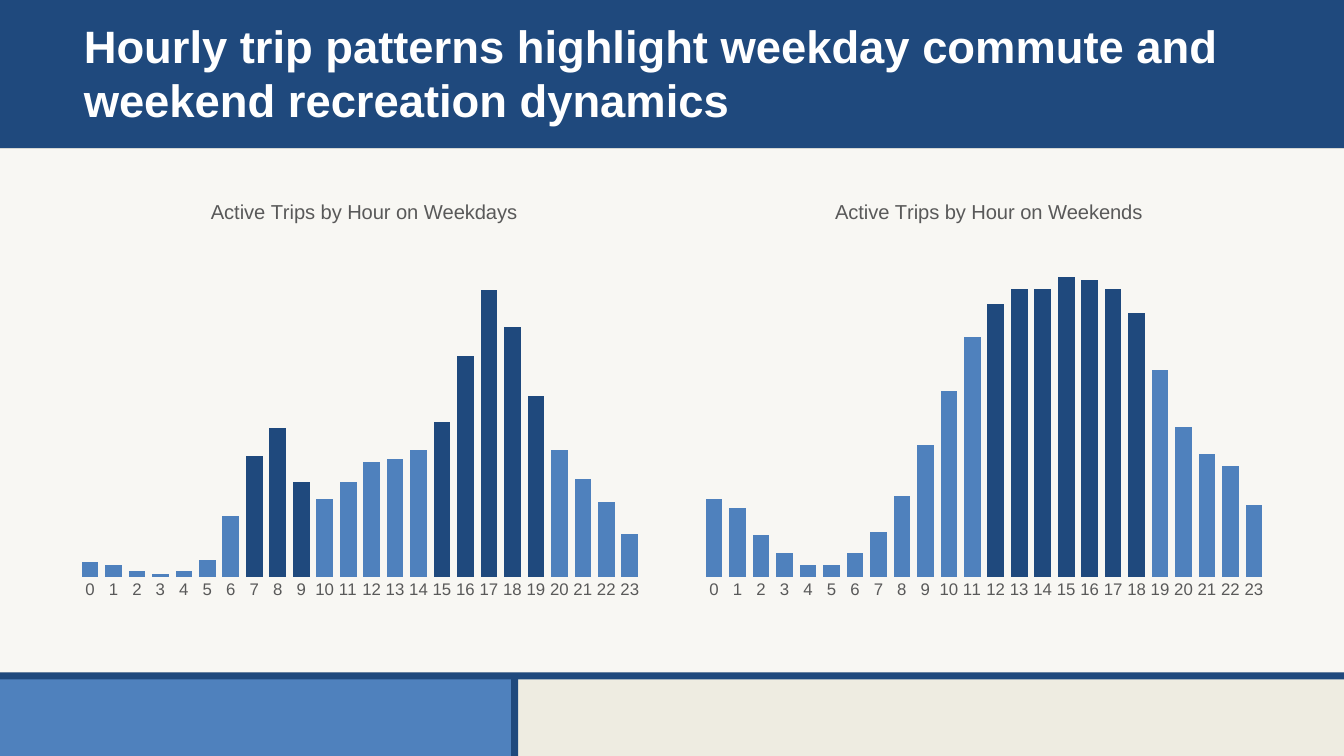
"""Build a slide comparing hourly active trips on weekdays and weekends."""
import lxml.etree
import pptx
import pptx.chart.data
import pptx.dml.color
import pptx.enum.chart
import pptx.enum.shapes
import pptx.enum.text
import pptx.oxml.ns
import pptx.util

COLOURS = {
    "navy": "1F497D",
    "blue": "4F81BD",
    "sand": "EEECE1",
    "white": "FFFFFF",
    "grey": "595959",
}
HEADLINE = {"name": "Arial", "size": pptx.util.Pt(32.4), "bold": True, "color": "white"}
CAPTION = {"name": "Arial", "size": pptx.util.Pt(14.4), "bold": False, "color": "grey"}
HOUR_LABEL = {"name": "Arial", "size": pptx.util.Pt(12), "color": "grey"}
HEADLINE_FRAME = {
    "margin_left": pptx.util.Inches(0.12),
    "margin_right": pptx.util.Inches(0.12),
    "margin_top": pptx.util.Inches(0.12),
    "margin_bottom": pptx.util.Inches(0.1),
    "word_wrap": True,
    "auto_size": pptx.enum.text.MSO_AUTO_SIZE.NONE,
    "vertical_anchor": pptx.enum.text.MSO_ANCHOR.MIDDLE,
}
CAPTION_PLACE = {"xMode": "edge", "yMode": "edge", "x": 0.24, "y": 0.04}
PLOT_PLACE = {"layoutTarget": "inner", "xMode": "edge", "yMode": "edge",
              "x": 0.02, "y": 0.23, "w": 0.96, "h": 0.7}

BANDS = [
    ((0, 0, 100, 19.6), "navy", 100),
    ((0, 19.73, 100, 69.2), "white", 60),
    ((0, 89.07, 38.18, 10.93), "blue", 100),
    ((0, 88.93, 100, 0.93), "navy", 100),
    ((38.03, 89.2, 0.53, 10.8), "navy", 100),
]
WEEKDAY_TRIPS = [5, 4, 2, 1, 2, 6, 21, 42, 52, 33, 27, 33,
                 40, 41, 44, 54, 77, 100, 87, 63, 44, 34, 26, 15]
WEEKEND_TRIPS = [26, 23, 14, 8, 4, 4, 8, 15, 27, 44, 62, 80,
                 91, 96, 96, 100, 99, 96, 88, 69, 50, 41, 37, 24]
DAY_TYPES = [
    ("Weekdays", 4.95, WEEKDAY_TRIPS, [*range(7, 10), *range(15, 20)], 104.5),
    ("Weekends", 51.39, WEEKEND_TRIPS, range(12, 19), 100),
]


def apply(target, formats):
    for name, value in formats.items():
        if name == "color":
            target.color.rgb = pptx.dml.color.RGBColor.from_string(COLOURS[value])
        else:
            setattr(target, name, value)


def set_layout(parent, index, settings):
    tag = pptx.oxml.ns.qn
    for old in parent.findall(tag("c:layout")):
        parent.remove(old)
    layout = lxml.etree.Element(tag("c:layout"))
    manual = lxml.etree.SubElement(layout, tag("c:manualLayout"))
    for name, value in settings.items():
        lxml.etree.SubElement(manual, tag(f"c:{name}")).set("val", str(value))
    parent.insert(index, layout)


class TripSlide:
    def __init__(self, deck):
        self.column = deck.slide_width / 100
        self.row = deck.slide_height / 100
        self.slide = deck.slides.add_slide(deck.slide_layouts[5])
        self.paint(self.slide.background.fill, "sand")

    def cell(self, left, top, width, height):
        return (round(left * self.column), round(top * self.row),
                round(width * self.column), round(height * self.row))

    def paint(self, fill, colour):
        fill.solid()
        fill.fore_color.rgb = pptx.dml.color.RGBColor.from_string(COLOURS[colour])

    def band(self, place, colour, opacity):
        band = self.slide.shapes.add_shape(
            pptx.enum.shapes.MSO_SHAPE.RECTANGLE, *self.cell(*place))
        band.shadow.inherit = False
        band.line.fill.background()
        self.paint(band.fill, colour)
        if opacity < 100:
            tint = band.fill._xPr.find(".//" + pptx.oxml.ns.qn("a:srgbClr"))
            alpha = lxml.etree.SubElement(tint, pptx.oxml.ns.qn("a:alpha"))
            alpha.set("val", str(opacity * 1000))

    def headline(self, text, place):
        headline = self.slide.shapes.title
        apply(headline, dict(zip(("left", "top", "width", "height"), self.cell(*place))))
        apply(headline.text_frame, HEADLINE_FRAME)
        headline.text_frame.text = text
        paragraph = headline.text_frame.paragraphs[0]
        paragraph.alignment = pptx.enum.text.PP_ALIGN.LEFT
        apply(paragraph.runs[0].font, HEADLINE)
        self.slide.shapes._spTree.append(headline._element)

    def hourly_chart(self, days, left, trips, peak_hours, ceiling):
        data = pptx.chart.data.CategoryChartData(number_format="#,##0")
        data.categories = [str(hour) for hour in range(24)]
        data.add_series("Series 1", trips)
        chart = self.slide.shapes.add_chart(
            pptx.enum.chart.XL_CHART_TYPE.COLUMN_CLUSTERED,
            *self.cell(left, 23.6, 43.66, 56.67), data).chart
        apply(chart, {"has_legend": False, "has_title": True})
        apply(chart.font, HOUR_LABEL)

        caption = chart.chart_title.text_frame
        caption.text = f"Active Trips by Hour on {days}"
        apply(caption.paragraphs[0].runs[0].font, CAPTION)
        set_layout(chart.chart_title._element, 1, CAPTION_PLACE)
        set_layout(chart._chartSpace.chart.plotArea, 0, PLOT_PLACE)

        no_tick = pptx.enum.chart.XL_TICK_MARK.NONE
        apply(chart.value_axis, {"visible": False, "has_major_gridlines": False,
                                 "minimum_scale": 0, "maximum_scale": ceiling})
        apply(chart.category_axis, {"major_tick_mark": no_tick, "minor_tick_mark": no_tick,
                                    "has_major_gridlines": False})
        chart.category_axis.format.line.fill.background()
        apply(chart.category_axis.tick_labels.font, HOUR_LABEL)

        apply(chart.plots[0], {"gap_width": 41, "vary_by_categories": False})
        hours = chart.plots[0].series[0]
        hours.invert_if_negative = False
        self.paint(hours.format.fill, "blue")
        for hour in peak_hours:
            self.paint(hours.points[hour].format.fill, "navy")


def main():
    deck = pptx.Presentation()
    deck.slide_width = pptx.util.Inches(13.33)
    deck.slide_height = pptx.util.Inches(7.5)
    trip_slide = TripSlide(deck)
    for band in BANDS:
        trip_slide.band(*band)
    trip_slide.headline(
        "Hourly trip patterns highlight weekday commute and weekend recreation dynamics",
        (5.33, 2.67, 89.42, 13.6))
    for day_type in DAY_TYPES:
        trip_slide.hourly_chart(*day_type)
    deck.save("out.pptx")


if __name__ == "__main__":
    main()
